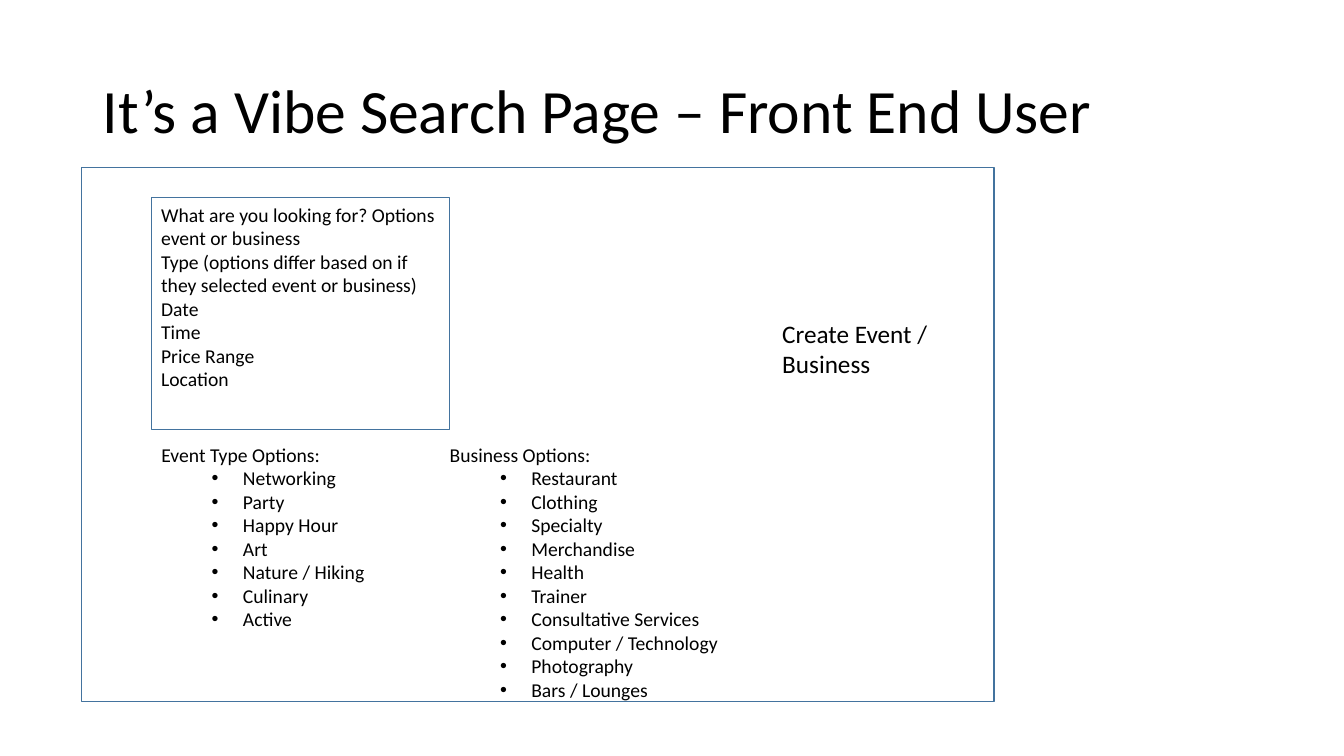
from dataclasses import dataclass

from lxml import etree
from pptx import Presentation
from pptx.dml.color import RGBColor
from pptx.enum import shapes, text
from pptx.oxml import ns
from pptx.util import Inches, Pt

BLACK = RGBColor(0x00, 0x00, 0x00)
FRAME_BLUE = RGBColor(0x43, 0x73, 0x9E)
FONT = "Calibri"


@dataclass(frozen=True)
class Box:
    left: float
    top: float
    width: float
    height: float

    def lengths(self):
        return [Inches(v) for v in (self.left, self.top, self.width, self.height)]


@dataclass(frozen=True)
class OptionList:
    box: Box
    heading: str
    options: tuple[str, ...]


TITLE_BOX = Box(0.92, 0.4, 11.5, 1.45)
PAGE_FRAME = Box(0.81, 1.66, 9.05, 5.3)
SEARCH_FORM = Box(1.5, 1.96, 2.96, 2.3)
CREATE_LABEL = Box(7.66, 3.11, 1.88, 0.71)

SEARCH_FIELDS = (
    "What are you looking for? Options event or business",
    "Type (options differ based on if they selected event or business)",
    "Date",
    "Time",
    "Price Range",
    "Location",
)
OPTION_LISTS = (
    OptionList(
        Box(1.5, 4.34, 2.96, 2.6),
        "Event Type Options:",
        ("Networking", "Party", "Happy Hour", "Art", "Nature / Hiking",
         "Culinary", "Active"),
    ),
    OptionList(
        Box(4.36, 4.34, 3.07, 2.6),
        "Business Options:",
        ("Restaurant", "Clothing", "Specialty", "Merchandise", "Health", "Trainer",
         "Consultative Services", "Computer / Technology", "Photography",
         "Bars / Lounges"),
    ),
)


def place(shape, box: Box) -> None:
    shape.left, shape.top, shape.width, shape.height = box.lengths()


def write(shape, lines, size: int, anchor=text.MSO_ANCHOR.TOP,
          line_spacing: float = 1.0) -> None:
    """Fill a shape with left-aligned black paragraphs, one per line."""
    frame = shape.text_frame
    frame.text = "\n".join(lines)
    frame.word_wrap = True
    frame.auto_size = text.MSO_AUTO_SIZE.NONE
    frame.vertical_anchor = anchor
    for paragraph in frame.paragraphs:
        paragraph.alignment = text.PP_ALIGN.LEFT
        paragraph.line_spacing = line_spacing
        paragraph.space_before = Pt(0)
        for run in paragraph.runs:
            run.font.name = FONT
            run.font.size = Pt(size)
            run.font.color.rgb = BLACK


def set_bullet(paragraph, bulleted: bool) -> None:
    properties = paragraph._p.get_or_add_pPr()
    properties.set("marL", str(Inches(0.81) if bulleted else 0))
    properties.set("indent", str(Inches(-0.31) if bulleted else 0))
    if bulleted:
        paragraph.level = 1
        font = etree.SubElement(properties, ns.qn("a:buFont"))
        font.set("typeface", "Arial")
        etree.SubElement(properties, ns.qn("a:buChar")).set("char", "•")
    else:
        etree.SubElement(properties, ns.qn("a:buNone"))


def add_outline(slide, box: Box):
    shape = slide.shapes.add_shape(shapes.MSO_SHAPE.RECTANGLE, *box.lengths())
    shape.shadow.inherit = False
    shape.fill.background()
    shape.line.color.rgb = FRAME_BLUE
    shape.line.width = Pt(1)
    return shape


def fill_option_list(placeholder, option_list: OptionList) -> None:
    place(placeholder, option_list.box)
    write(placeholder, (option_list.heading, *option_list.options), 14)
    for index, paragraph in enumerate(placeholder.text_frame.paragraphs):
        set_bullet(paragraph, bulleted=index > 0)


def main() -> None:
    presentation = Presentation()
    presentation.slide_width = Inches(13.33)
    presentation.slide_height = Inches(7.5)
    two_content = presentation.slide_layouts.get_by_name("Two Content")
    slide = presentation.slides.add_slide(two_content)

    title, *bodies = slide.placeholders
    place(title, TITLE_BOX)
    write(title, ["It’s a Vibe Search Page – Front End User"], 44,
          text.MSO_ANCHOR.MIDDLE, 0.9)

    add_outline(slide, PAGE_FRAME)
    write(add_outline(slide, SEARCH_FORM), SEARCH_FIELDS, 14)
    create_label = slide.shapes.add_textbox(*CREATE_LABEL.lengths())
    write(create_label, ["Create Event / Business"], 18)

    for placeholder, option_list in zip(bodies, OPTION_LISTS):
        fill_option_list(placeholder, option_list)

    presentation.save("out.pptx")


if __name__ == "__main__":
    main()
